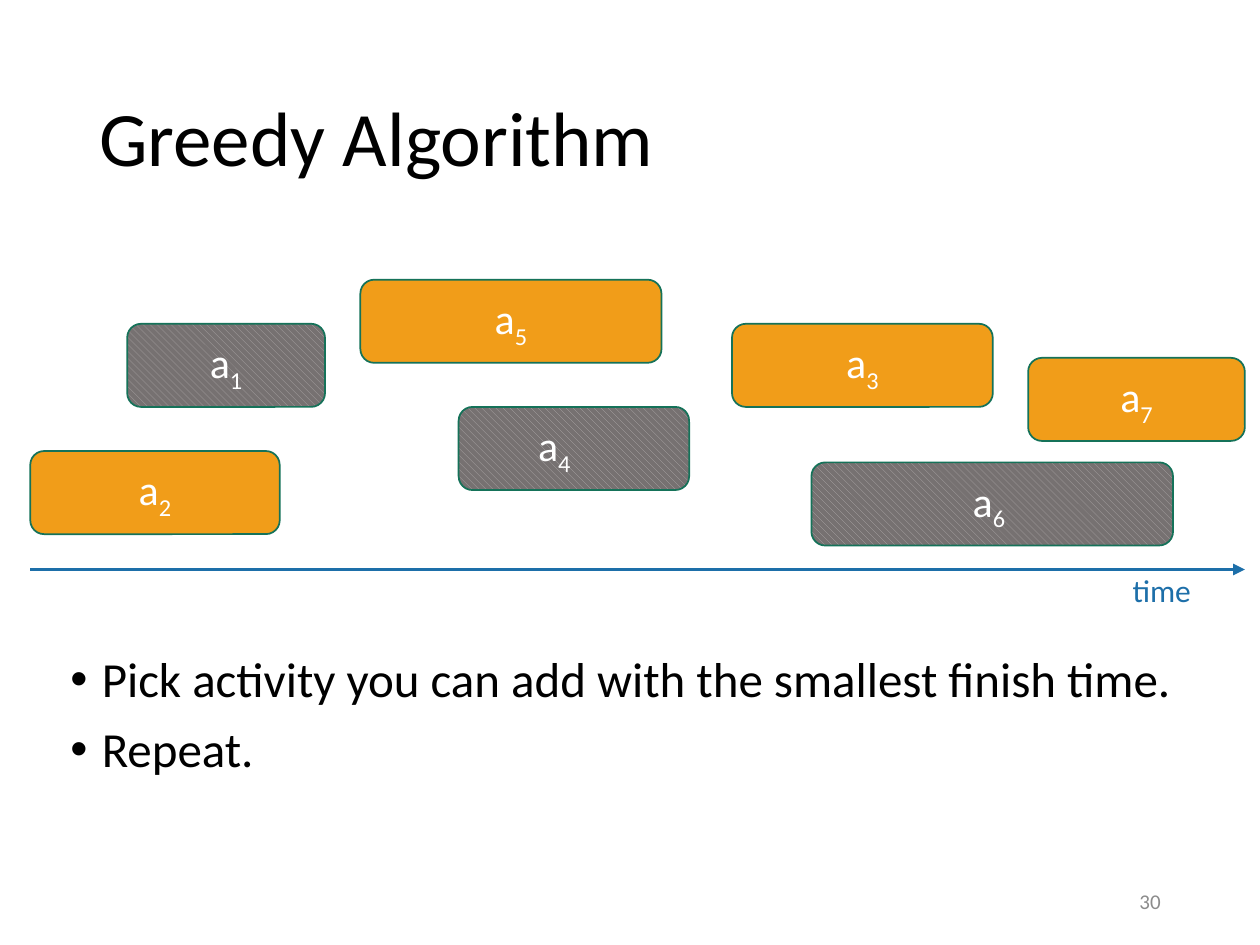
from lxml.etree import SubElement
from pptx import Presentation
from pptx.dml.color import RGBColor
from pptx.enum.dml import MSO_PATTERN as Pattern
from pptx.enum.shapes import MSO_CONNECTOR as Connector, MSO_SHAPE as Shape
from pptx.enum.text import MSO_ANCHOR as Anchor, PP_ALIGN as Align
from pptx.oxml.ns import qn
from pptx.util import Inches, Pt

BLACK = RGBColor(0x00, 0x00, 0x00)
WHITE = RGBColor(0xFF, 0xFF, 0xFF)
ORANGE = RGBColor(0xF1, 0x9D, 0x19)
GREEN = RGBColor(0x15, 0x72, 0x59)
BLUE = RGBColor(0x1D, 0x6F, 0xA9)
LIGHT_GRAY = RGBColor(0xAF, 0xAB, 0xAB)
DARK_GRAY = RGBColor(0x76, 0x71, 0x71)
NUMBER_GRAY = RGBColor(0x8C, 0x8C, 0x8C)

ACTIVITY_HEIGHT = 0.66
AXIS_START, AXIS_END, AXIS_TOP = 0.24, 9.88, 4.52
INSET = 0.1

# number, left, top, width, picked, extra right inset
ACTIVITIES = [
    (3, 5.81, 2.57, 2.07, True, 0),
    (1, 1.01, 2.57, 1.57, False, 0),
    (4, 3.64, 3.23, 1.83, False, 0.31),
    (2, 0.24, 3.58, 1.98, True, 0),
    (5, 2.86, 2.22, 2.39, True, 0),
    (7, 8.16, 2.84, 1.72, True, 0),
    (6, 6.44, 3.67, 2.87, False, 0.05),
]

STEPS = ["Pick activity you can add with the smallest finish time.", "Repeat."]


def apply_format(target, values):
    for name, value in values.items():
        setattr(target, name, value)


def add_run(paragraph, text, size, color):
    run = paragraph.add_run()
    run.text = text
    apply_format(run.font, {"size": Pt(size), "name": "Calibri"})
    run.font.color.rgb = color
    return run


def add_text(slide, box, lines, size, color, anchor=Anchor.TOP, bullet=False, **layout):
    frame = slide.shapes.add_textbox(*map(Inches, box)).text_frame
    apply_format(frame, {"word_wrap": True, "vertical_anchor": anchor})
    for index, line in enumerate(lines):
        paragraph = frame.add_paragraph() if index else frame.paragraphs[0]
        apply_format(paragraph, layout)
        if bullet:
            add_bullet(paragraph)
        add_run(paragraph, line, size, color)


def add_bullet(paragraph):
    properties = paragraph._p.get_or_add_pPr()
    indent = Inches(0.25)
    properties.set("marL", str(indent))
    properties.set("indent", str(-indent))
    SubElement(properties, qn("a:buFont"), typeface="Arial")
    SubElement(properties, qn("a:buChar"), char="•")


def add_activity(slide, number, left, top, width, picked, extra_inset):
    box = map(Inches, (left, top, width, ACTIVITY_HEIGHT))
    activity = slide.shapes.add_shape(Shape.ROUNDED_RECTANGLE, *box)
    activity.shadow.inherit = False
    if picked:
        activity.fill.solid()
        activity.fill.fore_color.rgb = ORANGE
    else:
        activity.fill.patterned()
        activity.fill.pattern = Pattern.WIDE_DOWNWARD_DIAGONAL
        activity.fill.fore_color.rgb = LIGHT_GRAY
        activity.fill.back_color.rgb = DARK_GRAY
    activity.line.color.rgb = GREEN
    activity.line.width = Pt(1)
    apply_format(activity.text_frame, {
        "vertical_anchor": Anchor.MIDDLE,
        "margin_right": Inches(INSET + extra_inset),
    })
    label = activity.text_frame.paragraphs[0]
    label.alignment = Align.CENTER
    add_run(label, "a", 24, WHITE)
    subscript = add_run(label, str(number), 24, WHITE)
    subscript._r.get_or_add_rPr().set("baseline", "-25000")


def add_time_axis(slide):
    ends = map(Inches, (AXIS_START, AXIS_TOP, AXIS_END, AXIS_TOP))
    axis = slide.shapes.add_connector(Connector.STRAIGHT, *ends)
    axis.line.color.rgb = BLUE
    axis.line.width = Pt(2.25)
    SubElement(axis.line._get_or_add_ln(), qn("a:tailEnd"), type="triangle")
    SubElement(axis._element.spPr, qn("a:effectLst"))


def main():
    deck = Presentation()
    apply_format(deck, {"slide_width": Inches(10), "slide_height": Inches(7.5)})
    slide = deck.slides.add_slide(deck.slide_layouts[6])

    add_text(slide, (0.69, 0.4, 8.62, 1.45), ["Greedy Algorithm"], 44, BLACK,
             Anchor.MIDDLE, line_spacing=0.9)
    for activity in ACTIVITIES:
        add_activity(slide, *activity)
    add_time_axis(slide)
    add_text(slide, (8.89, 4.48, 1.11, 0.4), ["time"], 18, BLUE)
    add_text(slide, (0.46, 5.15, 9.2, 1.79), STEPS, 28, BLACK, bullet=True,
             line_spacing=0.9, space_before=Pt(10))
    add_text(slide, (7.06, 6.95, 2.25, 0.4), ["30"], 12, NUMBER_GRAY,
             Anchor.MIDDLE, alignment=Align.RIGHT)

    deck.save("out.pptx")


if __name__ == "__main__":
    main()
